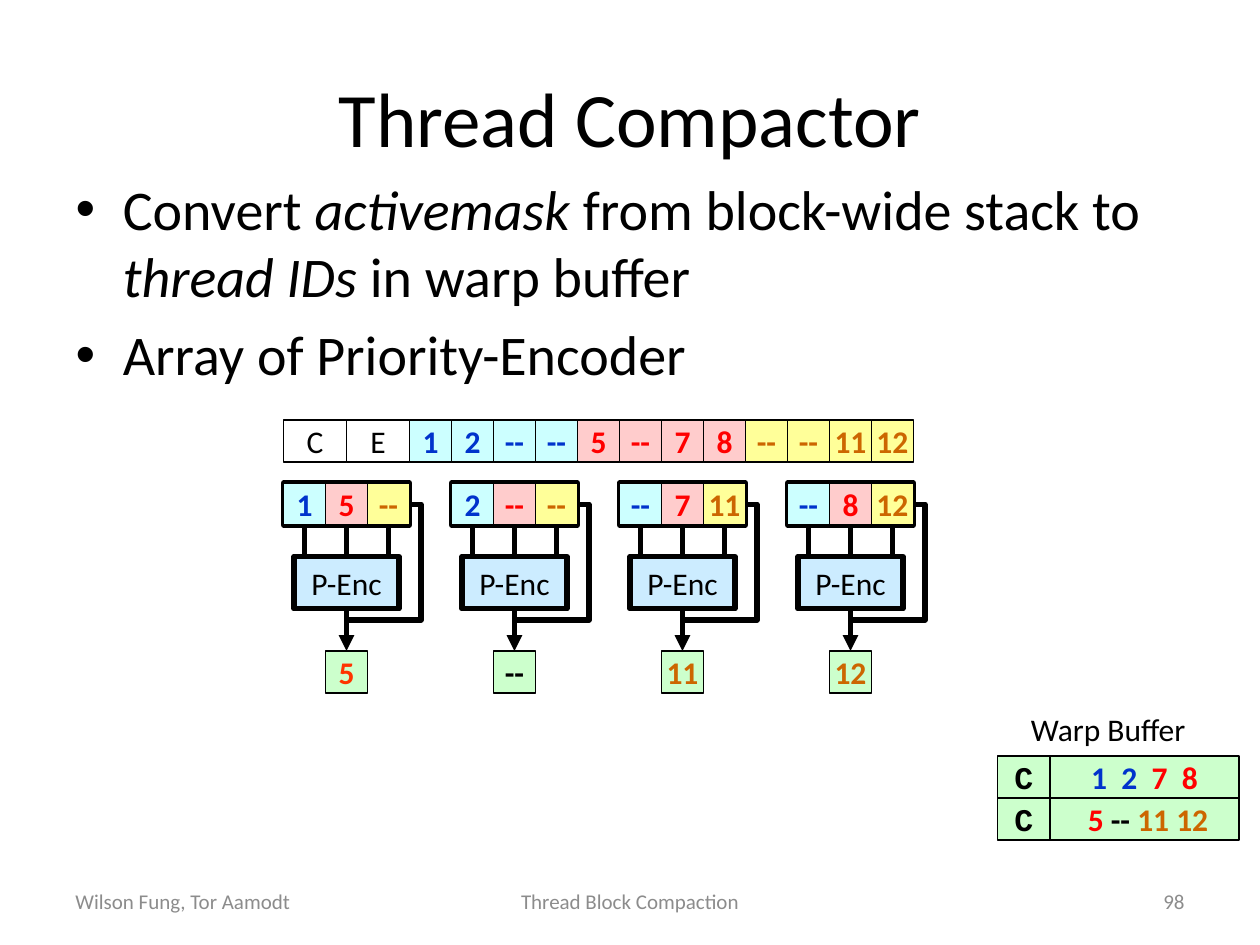
import dataclasses
import typing

import lxml.etree
import pptx
import pptx.dml.color
import pptx.enum.shapes
import pptx.enum.text
import pptx.oxml.ns
import pptx.util

COLOURS = {
    "black": "000000", "white": "FFFFFF", "grey": "8C8C8C",
    "blue": "0033CC", "red": "FF0000", "orange": "CC6600", "scarlet": "FF3300",
    "cyan": "CCFFFF", "pink": "FFCCCC", "yellow": "FFFF99",
    "green": "CCFFCC", "sky": "CCECFF",
}
COLUMNS, ROWS = 120, 90
CELL = 4
LANES = 4
LANE_STEP = 16
LEFT = 27
ALIGN = pptx.enum.text.PP_ALIGN
qn = pptx.oxml.ns.qn


@dataclasses.dataclass(frozen=True)
class Box:
    column: float
    row: float
    columns: float
    rows: float


@dataclasses.dataclass(frozen=True)
class Run:
    text: str
    colour: str = "black"
    bold: bool = False
    italic: bool = False
    size: float = 18
    font: str = "Calibri"


@dataclasses.dataclass(frozen=True)
class Warp:
    fill: str
    ink: str
    threads: tuple[str, ...]


WARPS = (
    Warp("cyan", "blue", ("1", "2", "--", "--")),
    Warp("pink", "red", ("5", "--", "7", "8")),
    Warp("yellow", "orange", ("--", "--", "11", "12")),
)
SELECTED = (("5", "scarlet"), ("--", "black"), ("11", "orange"), ("12", "orange"))
BUFFER = (
    (Run("1  2  ", "blue", True), Run("7  8", "red", True)),
    (Run(" 5", "red", True), Run(" -- ", "black", True), Run("11 12", "orange", True)),
)
FOOTERS = (
    (Box(6, 83.4, 28, 4.8), "Wilson Fung, Tor Aamodt", ALIGN.LEFT),
    (Box(41, 83.4, 38, 4.8), "Thread Block Compaction", ALIGN.CENTER),
    (Box(86, 83.4, 28, 4.8), "98", ALIGN.RIGHT),
)

deck = pptx.Presentation()
deck.slide_width = pptx.util.Inches(10)
deck.slide_height = pptx.util.Inches(7.5)
slide = deck.slides.add_slide(deck.slide_layouts[1])


def across(columns: float) -> int:
    return round(deck.slide_width * columns / COLUMNS)


def down(rows: float) -> int:
    return round(deck.slide_height * rows / ROWS)


def frame(box: Box) -> tuple[int, int, int, int]:
    return across(box.column), down(box.row), across(box.columns), down(box.rows)


def rgb(name: str) -> pptx.dml.color.RGBColor:
    return pptx.dml.color.RGBColor.from_string(COLOURS[name])


def write(paragraph: typing.Any, runs: typing.Iterable[Run]) -> None:
    for run in runs:
        piece = paragraph.add_run()
        piece.text = run.text
        piece.font.name = run.font
        piece.font.size = pptx.util.Pt(run.size)
        piece.font.bold = run.bold
        piece.font.italic = run.italic
        piece.font.color.rgb = rgb(run.colour)


def draw_block(shapes: typing.Any, box: Box, fill: str | None,
               runs: typing.Iterable[Run] = (), weight: float = 0.75) -> None:
    block = shapes.add_shape(pptx.enum.shapes.MSO_SHAPE.RECTANGLE, *frame(box))
    block.shadow.inherit = False
    if fill:
        block.fill.solid()
        block.fill.fore_color.rgb = rgb(fill)
    else:
        block.fill.background()
    block.line.color.rgb = rgb("black")
    block.line.width = pptx.util.Pt(weight)
    block.text_frame.word_wrap = False
    block.text_frame.vertical_anchor = pptx.enum.text.MSO_ANCHOR.MIDDLE
    block.text_frame.paragraphs[0].alignment = ALIGN.CENTER
    write(block.text_frame.paragraphs[0], runs)


def draw_wire(shapes: typing.Any, start: tuple[float, float], end: tuple[float, float],
              arrow: bool = False, elbow: bool = False) -> typing.Any:
    kind = pptx.enum.shapes.MSO_CONNECTOR
    wire = shapes.add_connector(kind.ELBOW if elbow else kind.STRAIGHT,
                                across(start[0]), down(start[1]), across(end[0]), down(end[1]))
    wire.line.color.rgb = rgb("black")
    wire.line.width = pptx.util.Pt(3)
    properties = wire._element.spPr
    if arrow:
        lxml.etree.SubElement(properties.find(qn("a:ln")), qn("a:tailEnd"), type="triangle")
    lxml.etree.SubElement(properties, qn("a:effectLst"))
    return wire


def draw_feedback(shapes: typing.Any, column: float) -> None:
    wire = draw_wire(shapes, (column, 50), (column + 10.2, 56.24), elbow=True)
    properties = wire._element.spPr
    transform = properties.find(qn("a:xfrm"))
    for name, value in (("rot", "5400000"), ("flipH", "1"), ("flipV", "1")):
        transform.set(name, value)
    geometry = properties.find(qn("a:prstGeom"))
    geometry.set("prst", "bentConnector4")
    guides = geometry.get_or_add_avLst()
    for name, value in (("adj1", -8300), ("adj2", 114000)):
        lxml.etree.SubElement(guides, qn("a:gd"), name=name, fmla=f"val {value}")


def draw_encoder(column: float) -> None:
    encoder = slide.shapes.add_group_shape().shapes
    middle = column + 1.5 * CELL
    draw_block(encoder, Box(column + 1, 53, 10, 5), "sky", [Run("P-Enc")], 3)
    draw_block(encoder, Box(column, 46, 3 * CELL, CELL), None, weight=3)
    draw_wire(encoder, (middle, 58), (middle, 62), arrow=True)
    draw_feedback(encoder, column + CELL)
    for offset in (-CELL, 0, CELL):
        draw_wire(encoder, (middle + offset, 50), (middle + offset, 53))


def draw_thread(shapes: typing.Any, column: float, row: float, warp: Warp, lane: int) -> None:
    draw_block(shapes, Box(column, row, CELL, CELL), warp.fill,
               [Run(warp.threads[lane], warp.ink, True)])


def draw_label(box: Box, run: Run, alignment: typing.Any) -> None:
    label = slide.shapes.add_textbox(*frame(box)).text_frame
    label.word_wrap = True
    label.vertical_anchor = pptx.enum.text.MSO_ANCHOR.MIDDLE
    label.paragraphs[0].alignment = alignment
    write(label.paragraphs[0], [run])


def fill_placeholder(holder: typing.Any, box: Box,
                     paragraphs: typing.Sequence[typing.Sequence[Run]]) -> None:
    holder.left, holder.top, holder.width, holder.height = frame(box)
    text = holder.text_frame
    text.auto_size = pptx.enum.text.MSO_AUTO_SIZE.NONE
    for index, runs in enumerate(paragraphs):
        write(text.add_paragraph() if index else text.paragraphs[0], runs)
    text.paragraphs[0].space_before = pptx.util.Pt(0)


for place, words, alignment in FOOTERS:
    draw_label(place, Run(words, "grey", size=12), alignment)

fill_placeholder(slide.shapes.title, Box(6, 3.6, 108, 15), [[Run("Thread Compactor", size=44)]])
fill_placeholder(slide.placeholders[1], Box(6, 16, 108, 22), [
    [Run("Convert ", size=32), Run("activemask ", italic=True, size=32),
     Run("from block-wide stack to ", size=32), Run("thread IDs", italic=True, size=32),
     Run(" in warp buffer", size=32)],
    [Run("Array of Priority-Encoder", size=32)],
])

for lane in range(LANES):
    draw_encoder(LEFT + lane * LANE_STEP)

selection = slide.shapes.add_group_shape().shapes
for lane, (thread, ink) in enumerate(SELECTED):
    draw_block(selection, Box(LEFT + lane * LANE_STEP + CELL, 62, CELL, CELL), "green",
               [Run(thread, ink, True)])

stack = slide.shapes.add_group_shape().shapes
for index, entry in enumerate("CE"):
    draw_block(stack, Box(LEFT + 6 * index, 40, 6, CELL), "white", [Run(entry)])
for index, warp in enumerate(WARPS):
    for lane in range(LANES):
        draw_thread(stack, LEFT + 12 + (index * LANES + lane) * CELL, 40, warp, lane)
        draw_thread(slide.shapes, LEFT + lane * LANE_STEP + index * CELL, 46, warp, lane)

for index, threads in enumerate(BUFFER):
    entry = slide.shapes.add_group_shape().shapes
    row = 72 + index * CELL
    draw_block(entry, Box(100, row, 18, CELL), "green", threads)
    draw_block(entry, Box(95, row, 5, CELL), "green", [Run("C", bold=True, font="Courier New")])
draw_label(Box(97, 67, 18.4, 4.8), Run("Warp Buffer"), ALIGN.LEFT)

deck.save("out.pptx")
